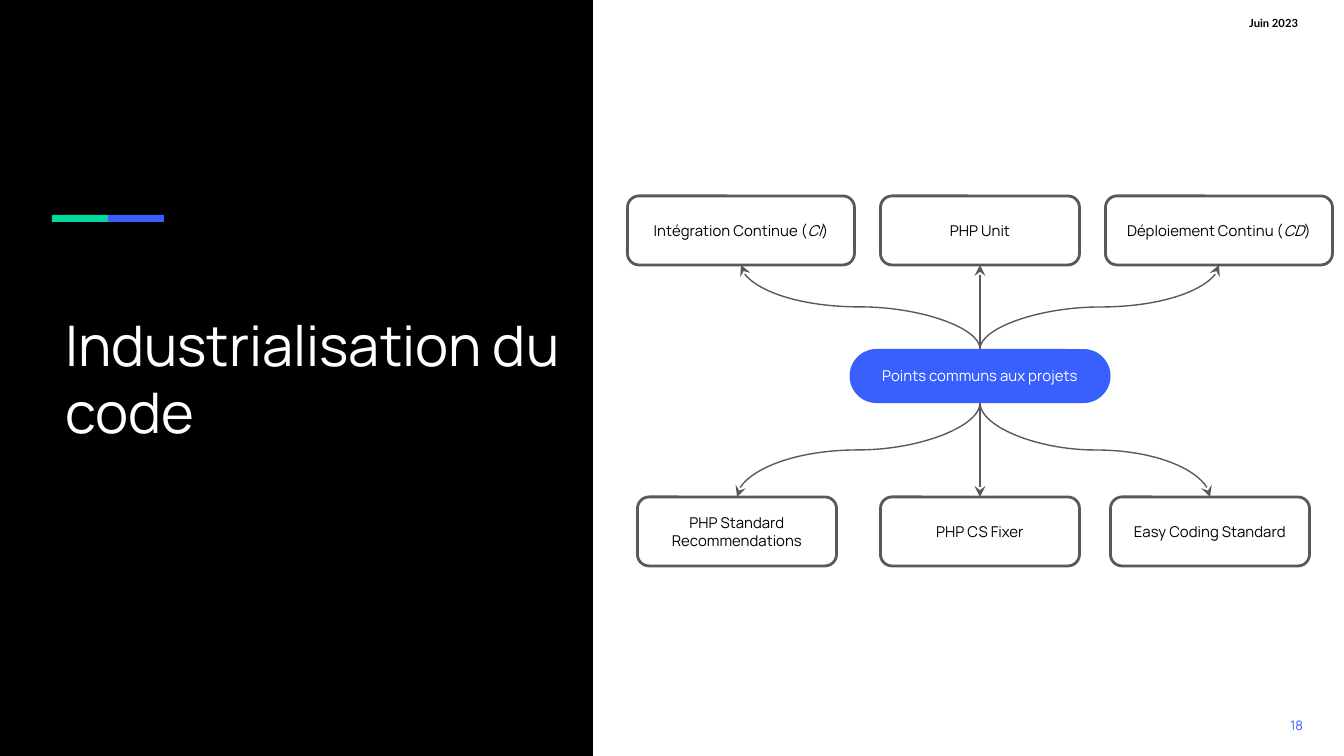
from pptx import Presentation
from pptx.dml.color import RGBColor
from pptx.enum.shapes import MSO_CONNECTOR as Line, MSO_SHAPE as Shape
from pptx.enum.text import MSO_ANCHOR as Anchor, MSO_AUTO_SIZE as AutoSize, PP_ALIGN as Align
from pptx.oxml.ns import qn
from pptx.util import Emu, Pt
from lxml.etree import SubElement

COLORS = {
    "black": "000000",
    "white": "FFFFFF",
    "green": "00D99B",
    "blue": "3960FF",
    "gray": "595959",
}
WIDTH, HEIGHT = 1344, 756
CENTER = 980
PANEL_W = 593
BOX_H = 69
TOP_ROW, BOTTOM_ROW = 196, 497
HUB_Y, HUB_W, HUB_H = 349, 261, 54


def px(value):
    return Emu(round(value * 9144000 / WIDTH))


def rgb(name):
    return RGBColor.from_string(COLORS[name])


class Deck:
    font = "Manrope"
    inset = 13

    def __init__(self):
        self.prs = Presentation()
        self.prs.slide_width, self.prs.slide_height = px(WIDTH), px(HEIGHT)
        self.s = self.prs.slides.add_slide(self.prs.slide_layouts[5])

    def fill_text(self, sp, parts, size, color, align, font=None, bold=False,
                  inset=inset, anchor=Anchor.MIDDLE):
        tf = sp.text_frame
        tf.word_wrap = True
        tf.auto_size = AutoSize.NONE
        tf.vertical_anchor = anchor
        tf.margin_left = tf.margin_right = px(inset)
        tf.margin_top = tf.margin_bottom = px(inset)
        p = tf.paragraphs[0]
        p.alignment = align
        for i, part in enumerate(parts):
            r = p.add_run()
            r.text = part
            r.font.name = font or self.font
            r.font.size = Pt(size)
            r.font.bold = bold
            r.font.italic = i % 2 == 1
            r.font.color.rgb = rgb(color)

    def title(self, text, x, y, w, h):
        sp = self.s.shapes.title
        sp.left, sp.top, sp.width, sp.height = map(px, (x, y, w, h))
        self.fill_text(sp, [text], 30, "white", Align.LEFT)
        self.s.shapes.element.append(sp.element)

    def text(self, text, x, y, w, h, size, color, **style):
        sp = self.s.shapes.add_textbox(*map(px, (x, y, w, h)))
        self.fill_text(sp, [text], size, color, Align.RIGHT, inset=0, **style)

    def shape(self, kind, x, y, w, h, fill, line=None):
        sp = self.s.shapes.add_shape(kind, *map(px, (x, y, w, h)))
        sp.shadow.inherit = False
        sp.fill.solid()
        sp.fill.fore_color.rgb = rgb(fill)
        if line:
            sp.line.color.rgb = rgb(line)
            sp.line.width = Pt(1.5)
        else:
            sp.line.fill.background()
        return sp

    def box(self, parts, cx, y, w, h, fill="white", line="gray", color="black", radius=0.167):
        sp = self.shape(Shape.ROUNDED_RECTANGLE, cx - w / 2, y, w, h, fill, line)
        sp.adjustments[0] = radius
        self.fill_text(sp, parts, 8, color, Align.CENTER)

    def arrow(self, x1, y1, x2, y2):
        if x1 == x2:
            c = self.s.shapes.add_connector(Line.STRAIGHT, *map(px, (x1, y1, x2, y2)))
        else:
            down = y2 > y1
            mx, my = (x1 + x2) / 2, (y1 + y2) / 2
            half_w = abs(y2 - y1) / 2
            half_h = (x1 - x2) / 2 if down else (x2 - x1) / 2
            ends = (mx - half_w, my - half_h, mx + half_w, my + half_h)
            c = self.s.shapes.add_connector(Line.CURVE, *map(px, ends))
            xfrm = c.element.spPr.find(qn("a:xfrm"))
            xfrm.set("rot", str((90 if down else 270) * 60000))
        c.line.color.rgb = rgb("gray")
        c.line.width = Pt(0.75)
        spPr = c.element.spPr
        SubElement(spPr.find(qn("a:ln")), qn("a:tailEnd"), type="stealth")
        SubElement(spPr, qn("a:effectLst"))


def main():
    deck = Deck()
    deck.shape(Shape.RECTANGLE, 0, 0, PANEL_W, HEIGHT, "black")
    for i, color in enumerate(("green", "blue")):
        deck.shape(Shape.RECTANGLE, 52 + 56 * i, 215, 56, 7, color)
    deck.title("Industrialisation du code", 52, 0, 526, HEIGHT)
    deck.text("Juin 2023", 1128, 16, 170, 36, 6, "black",
              font="Lato", bold=True, anchor=Anchor.TOP)
    deck.text("18", 1193, 696, 110, 58, 7, "blue")

    boxes = [
        (["Intégration Continue (", "CI", ")"], 741, TOP_ROW, 227),
        (["PHP Unit"], CENTER, TOP_ROW, 199),
        (["Déploiement Continu (", "CD", ")"], 1219, TOP_ROW, 227),
        (["PHP Standard Recommendations"], 737, BOTTOM_ROW, 199),
        (["PHP CS Fixer"], CENTER, BOTTOM_ROW, 199),
        (["Easy Coding Standard"], 1210, BOTTOM_ROW, 199),
    ]
    deck.box(["Points communs aux projets"], CENTER, HUB_Y, HUB_W, HUB_H,
             fill="blue", line=None, color="white", radius=0.5)
    for parts, cx, y, w in boxes:
        deck.box(parts, cx, y, w, BOX_H)
        if y < HUB_Y:
            deck.arrow(CENTER, HUB_Y, cx, y + BOX_H)
        else:
            deck.arrow(CENTER, HUB_Y + HUB_H, cx, y)

    deck.prs.save("out.pptx")


if __name__ == "__main__":
    main()
